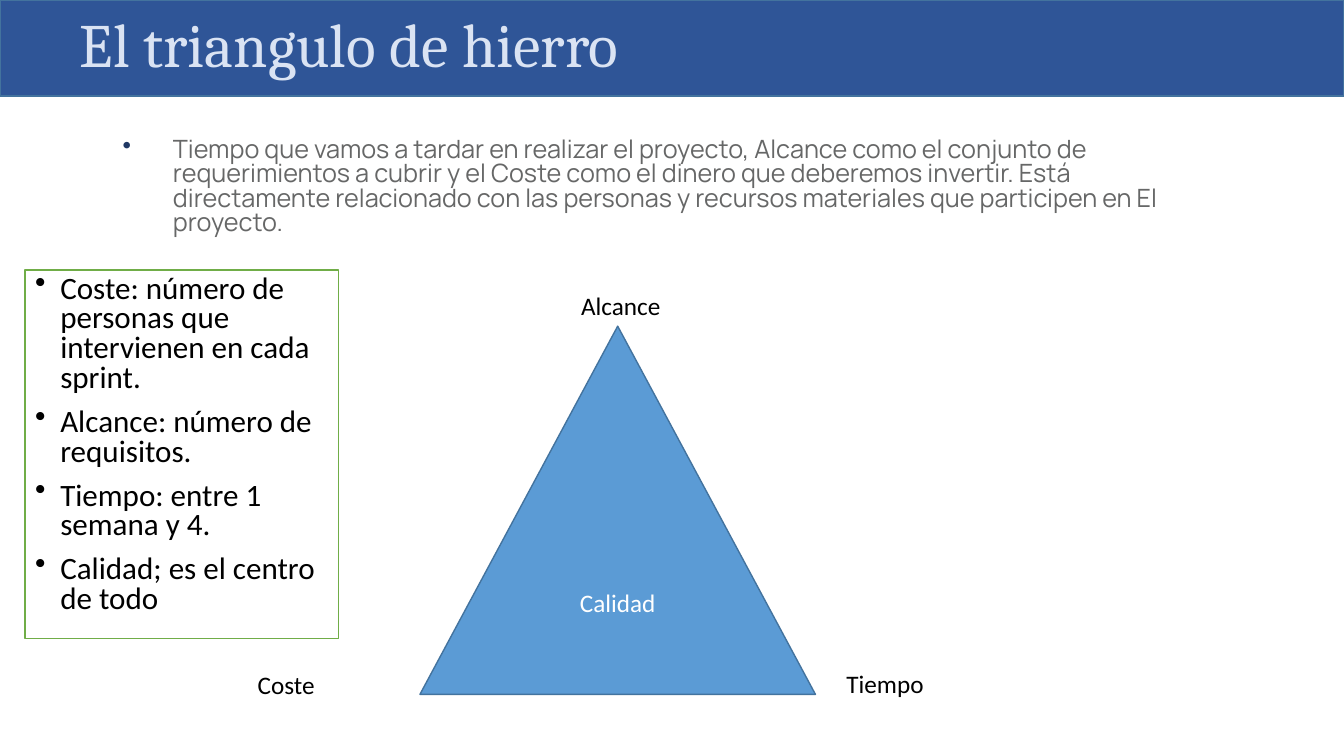
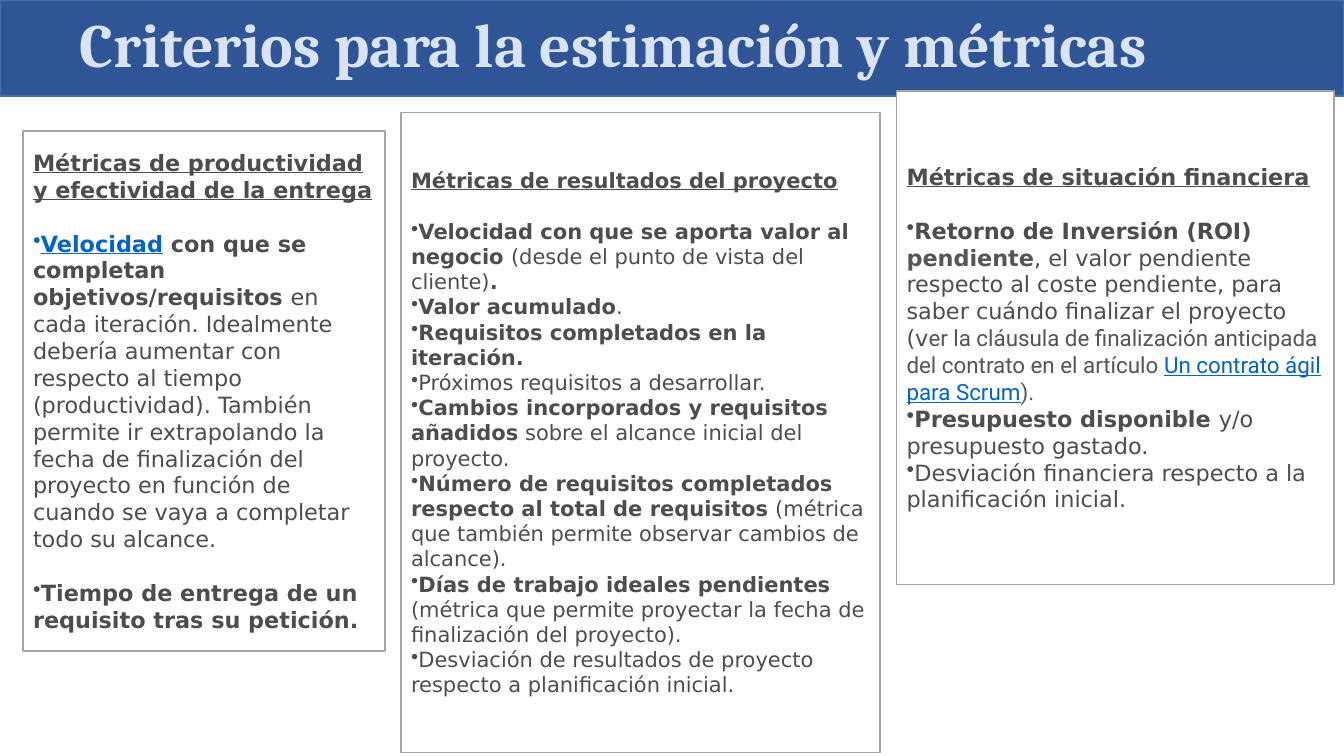
import pptx
import pptx.util
import pptx.dml.color
import pptx.enum.shapes
import pptx.enum.text
import lxml.etree

Pt = pptx.util.Pt
SHAPES = pptx.enum.shapes.MSO_SHAPE
ANCHOR = pptx.enum.text.MSO_ANCHOR
ALIGN = pptx.enum.text.PP_ALIGN

SLIDE_WIDTH, SLIDE_HEIGHT = 960, 540
BAND, BAND_TEXT, OUTLINE = "2F5597", "DAE3F3", "43739E"
BLACK, WHITE = "000000", "FFFFFF"
GRAY, LIGHT_GRAY = "4D4D4D", "555555"
REFERENCE = {"color": "0563C1", "underline": True}
BOLD = {"bold": True}


def rgb(value):
    return pptx.dml.color.RGBColor.from_string(value)


def add_bullet(paragraph, indent, color):
    properties = paragraph._p.get_or_add_pPr()
    properties.set("marL", str(Pt(indent)))
    properties.set("indent", str(-Pt(indent)))
    namespace = properties.nsmap["a"]
    if color:
        bullet_color = lxml.etree.SubElement(properties, f"{{{namespace}}}buClr")
        lxml.etree.SubElement(bullet_color, f"{{{namespace}}}srgbClr", val=color)
    lxml.etree.SubElement(properties, f"{{{namespace}}}buChar", char="•")


def add_run(paragraph, text, size, font, color, bold=False, underline=False):
    run = paragraph.add_run()
    run.text = text
    run.font.size = Pt(size)
    run.font.name = font
    run.font.color.rgb = rgb(color)
    run.font.bold = bold
    run.font.underline = underline


def write(paragraph, text, bullet=False, indent=0, bullet_color=None,
          align=ALIGN.LEFT, spacing=1.0, before=0, **style):
    if bullet:
        add_bullet(paragraph, indent, bullet_color)
    paragraph.alignment = align
    paragraph.line_spacing = spacing
    paragraph.space_before = Pt(before)
    for part in [text] if isinstance(text, str) else text:
        words, changes = (part, {}) if isinstance(part, str) else part
        add_run(paragraph, words, **{**style, **changes})


def next_paragraph(frame):
    first = frame.paragraphs[0]
    return frame.add_paragraph() if first.runs else first


def add_panel(slide, place, fill, line, kind=SHAPES.RECTANGLE, anchor=ANCHOR.MIDDLE):
    panel = slide.shapes.add_shape(kind, *map(Pt, place))
    panel.shadow.inherit = False
    panel.fill.solid()
    panel.fill.fore_color.rgb = rgb(fill)
    panel.line.color.rgb = rgb(line)
    panel.line.width = Pt(1)
    panel.text_frame.word_wrap = True
    panel.text_frame.vertical_anchor = anchor
    return panel.text_frame


def add_text(slide, place, text, wrap=True, **style):
    frame = slide.shapes.add_textbox(*map(Pt, place)).text_frame
    frame.word_wrap = wrap
    write(frame.paragraphs[0], text, **style)


def add_titled_slide(deck, title, bold=False):
    slide = deck.slides.add_slide(deck.slide_layouts[6])
    band = add_panel(slide, (0, 0, SLIDE_WIDTH, 68.5), BAND, OUTLINE)
    band.margin_left = Pt(57)
    write(band.paragraphs[0], title, size=44, font="Cambria",
          color=BAND_TEXT, bold=bold, spacing=0.9)
    return slide


def add_metrics(slide, place, heading, items, size, gap_items=()):
    frame = add_panel(slide, place, WHITE, "A5A5A5")
    style = {"size": size, "font": "DejaVu Sans", "color": GRAY}
    write(next_paragraph(frame), heading, bold=True, underline=True, **style)
    for index, item in enumerate(items):
        gap = 1.2 * size if index == 0 or index in gap_items else 0
        write(next_paragraph(frame), item, bullet=True, before=gap, **style)


def build_triangle(deck):
    slide = add_titled_slide(deck, "El triangulo de hierro")
    add_text(
        slide, (80.5, 96, 803, 90),
        "Tiempo que vamos a tardar en realizar el proyecto, Alcance como el conjunto de "
        "requerimientos a cubrir y el Coste como el dinero que deberemos invertir. Está "
        "directamente relacionado con las personas y recursos materiales que participen en El "
        "proyecto.",
        bullet=True, indent=36, bullet_color="203864", spacing=0.8,
        size=18, font="Manrope", color="666767")

    label = {"size": 18, "font": "Calibri"}
    triangle = add_panel(slide, (300, 233, 282.5, 263), "5B9BD5", OUTLINE,
                         SHAPES.ISOSCELES_TRIANGLE)
    write(triangle.paragraphs[0], "Calidad", align=ALIGN.CENTER, color=WHITE, **label)
    for name, left, top, width in (("Alcance", 408, 204, 72),
                                   ("Coste", 177, 474.5, 55.5),
                                   ("Tiempo", 597.5, 473.5, 70.5)):
        add_text(slide, (left, top, width, 29), name, wrap=False, color=BLACK, **label)

    factors = add_panel(slide, (18, 193, 224, 263), WHITE, "70AD47", anchor=ANCHOR.TOP)
    for index, factor in enumerate((
            "Coste: número de personas que intervienen en cada sprint.",
            "Alcance: número de requisitos.",
            "Tiempo: entre 1 semana y 4.",
            "Calidad; es el centro de todo")):
        write(next_paragraph(factors), factor, bullet=True, indent=18, spacing=0.8,
              before=10 if index else 0, size=22.2, font="Calibri", color=BLACK)


def build_metrics(deck):
    slide = add_titled_slide(deck, "Criterios para la estimación y métricas", bold=True)
    add_metrics(
        slide, (16.5, 93.5, 258.5, 371.5),
        "Métricas de productividad y efectividad de la entrega",
        [[("Velocidad", {**REFERENCE, **BOLD}),
          (" con que se completan objetivos/requisitos ", BOLD),
          "en cada iteración. Idealmente debería aumentar con respecto al tiempo "
          "(productividad). También permite ir extrapolando la fecha de finalización del "
          "proyecto en función de cuando se vaya a completar todo su alcance."],
         [("Tiempo de entrega de un requisito tras su petición.", BOLD)]],
        size=16, gap_items=(1,))
    add_metrics(
        slide, (286.5, 80.5, 342, 457),
        "Métricas de resultados del proyecto",
        [[("Velocidad con que se aporta valor al negocio ", BOLD),
          "(desde el punto de vista del cliente)", (".", BOLD)],
         [("Valor acumulado", BOLD), "."],
         [("Requisitos completados en la iteración.", BOLD)],
         "Próximos requisitos a desarrollar.",
         [("Cambios incorporados y requisitos añadidos", BOLD),
          " sobre el alcance inicial del proyecto."],
         [("Número de requisitos completados respecto al total de requisitos", BOLD),
          " (métrica que también permite observar cambios de alcance)."],
         [("Días de trabajo ideales pendientes", BOLD),
          " (métrica que permite proyectar la fecha de finalización del proyecto)."],
         "Desviación de resultados de proyecto respecto a planificación inicial."],
        size=15)
    clause = {"font": "Roboto", "color": LIGHT_GRAY}
    add_metrics(
        slide, (640.5, 65, 312.5, 352.5),
        "Métricas de situación financiera",
        [[("Retorno de Inversión (ROI) ", BOLD),
          ("pendiente", {**BOLD, "color": LIGHT_GRAY}),
          ", el valor pendiente respecto al coste pendiente, para saber cuándo finalizar "
          "el proyecto (v",
          ("er la cláusula de finalización anticipada del contrato en el artículo ", clause),
          ("Un contrato ágil para Scrum", {**clause, **REFERENCE}),
          (").", clause)],
         [("Presupuesto disponible ", BOLD), "y/o presupuesto gastado."],
         "Desviación financiera respecto a la planificación inicial."],
        size=16)


def main():
    deck = pptx.Presentation()
    deck.slide_width = Pt(SLIDE_WIDTH)
    deck.slide_height = Pt(SLIDE_HEIGHT)
    build_triangle(deck)
    build_metrics(deck)
    deck.save("out.pptx")


if __name__ == "__main__":
    main()
